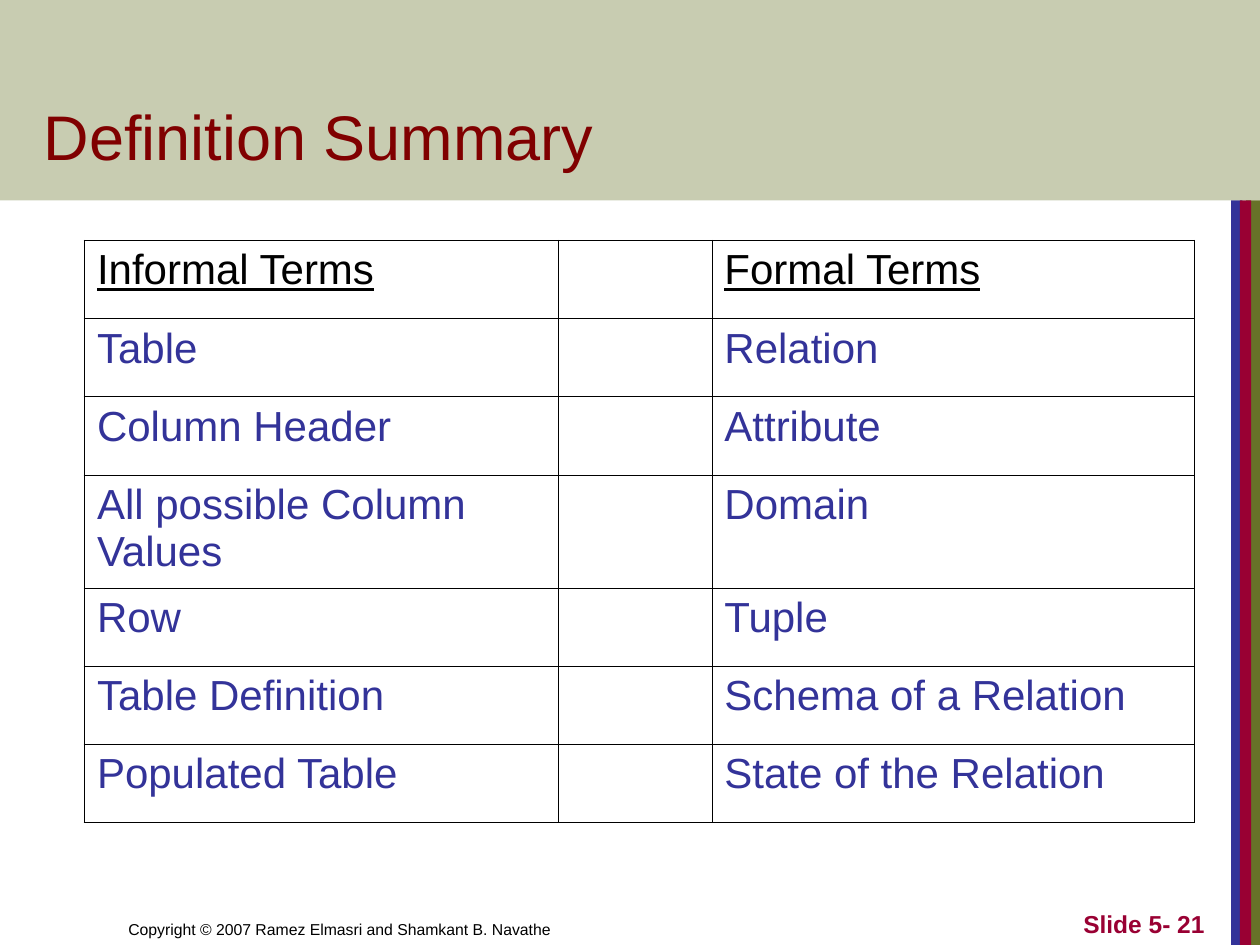
from dataclasses import dataclass
from typing import NamedTuple

from lxml.etree import SubElement
from pptx import Presentation
from pptx.dml.color import RGBColor
from pptx.enum.shapes import MSO_SHAPE as Shape
from pptx.enum.text import MSO_ANCHOR as Anchor, PP_ALIGN as Align
from pptx.oxml import parse_xml
from pptx.oxml.ns import nsdecls, qn
from pptx.util import Inches, Pt


@dataclass(frozen=True)
class Theme:
    font: str = "Arial"
    olive: str = "677228"
    blue: str = "333399"
    crimson: str = "990033"
    maroon: str = "800000"
    black: str = "000000"
    title_size: int = 36
    table_size: int = 24
    number_size: int = 14
    footer_size: int = 9
    outer_line: float = 1.08
    inner_line: float = 0.45


class Box(NamedTuple):
    left: float
    top: float
    width: float
    height: float

    def emu(self) -> list:
        return [Inches(v) for v in self]


class Bar(NamedTuple):
    box: Box
    color: str
    alpha: int = 100


class Label(NamedTuple):
    text: str
    box: Box
    size: int
    color: str
    bold: bool = False
    align: Align = Align.LEFT


T = Theme()
WIDTH, HEIGHT = 10, 7.5
BAND = 1.59
FOOTER_TOP, FOOTER_HEIGHT = 7, 0.5

BARS = [
    Bar(Box(left, BAND, width, HEIGHT - BAND), color)
    for left, width, color in [
        (9.89, 0.11, T.olive), (9.77, 0.09, T.blue), (9.84, 0.09, T.crimson)]
] + [Bar(Box(0, 0, WIDTH, BAND), T.olive, 36)]

LABELS = [
    Label("Copyright © 2007 Ramez Elmasri and Shamkant B. Navathe",
          Box(0.92, FOOTER_TOP, 4.92, FOOTER_HEIGHT), T.footer_size, T.black),
    Label("Slide 5- 21", Box(7.58, FOOTER_TOP, 2.08, FOOTER_HEIGHT),
          T.number_size, T.crimson, True, Align.RIGHT),
    Label("Definition Summary", Box(0.25, 0.33, 8.53, 1.09), T.title_size, T.maroon),
]

TERMS = [
    ("Informal Terms", "Formal Terms"),
    ("Table", "Relation"),
    ("Column Header", "Attribute"),
    ("All possible Column Values", "Domain"),
    ("Row", "Tuple"),
    ("Table Definition", "Schema of a Relation"),
    ("Populated Table", "State of the Relation"),
]
COLUMNS = [3.76, 1.22, 3.83]
ROW, TALL_ROW, TALL_INDEX = 0.62, 0.9, 3
ROWS = [TALL_ROW if i == TALL_INDEX else ROW for i in range(len(TERMS))]


def write(tf, text: str, *, size: int, color: str, bold: bool = False,
          underline: bool = False, align: Align = Align.LEFT, before: float = 0) -> None:
    p = tf.paragraphs[0]
    p.alignment = align
    p.space_before = Pt(before)
    r = p.add_run()
    r.text = text
    r.font.name, r.font.size = T.font, Pt(size)
    r.font.bold, r.font.underline = bold, underline
    r.font.color.rgb = RGBColor.from_string(color)


def draw_bar(s, bar: Bar) -> None:
    sp = s.shapes.add_shape(Shape.RECTANGLE, *bar.box.emu())
    sp.shadow.inherit = False
    sp.line.fill.background()
    sp.fill.solid()
    sp.fill.fore_color.rgb = RGBColor.from_string(bar.color)
    if bar.alpha < 100:
        color = sp.fill._xPr.find(".//" + qn("a:srgbClr"))
        SubElement(color, qn("a:alpha")).set("val", str(bar.alpha * 1000))


def draw_label(s, label: Label) -> None:
    tf = s.shapes.add_textbox(*label.box.emu()).text_frame
    tf.word_wrap = True
    tf.vertical_anchor = Anchor.BOTTOM
    write(tf, label.text, size=label.size, color=label.color,
          bold=label.bold, align=label.align)


def set_borders(cell, outer: dict[str, bool]) -> None:
    """Rule each side of a cell, heavier where the side is on the table's edge."""
    tc_pr = cell._tc.get_or_add_tcPr()
    for i, (side, is_outer) in enumerate(outer.items()):
        width = Pt(T.outer_line if is_outer else T.inner_line)
        tc_pr.insert(i, parse_xml(
            f'<a:ln{side} {nsdecls("a")} w="{width}"><a:solidFill>'
            f'<a:srgbClr val="{T.black}"/></a:solidFill></a:ln{side}>'))


def draw_terms(s) -> None:
    box = Box(0.67, 1.91, sum(COLUMNS), sum(ROWS))
    table = s.shapes.add_table(len(ROWS), len(COLUMNS), *box.emu()).table
    table.first_row = table.horz_banding = False
    for column, width in zip(table.columns, COLUMNS):
        column.width = Inches(width)
    last_row, last_col = len(ROWS) - 1, len(COLUMNS) - 1
    for i, (informal, formal) in enumerate(TERMS):
        table.rows[i].height = Inches(ROWS[i])
        for j, text in enumerate((informal, "", formal)):
            cell = table.cell(i, j)
            cell.fill.background()
            set_borders(cell, {"L": j == 0, "R": j == last_col,
                               "T": i == 0, "B": i == last_row})
            if text:
                write(cell.text_frame, text, size=T.table_size, before=6,
                      color=T.blue if i else T.black, underline=i == 0)


def main() -> None:
    prs = Presentation()
    prs.slide_width, prs.slide_height = Inches(WIDTH), Inches(HEIGHT)
    s = prs.slides.add_slide(prs.slide_layouts[6])
    for bar in BARS:
        draw_bar(s, bar)
    for label in LABELS:
        draw_label(s, label)
    draw_terms(s)
    prs.save("out.pptx")


if __name__ == "__main__":
    main()
